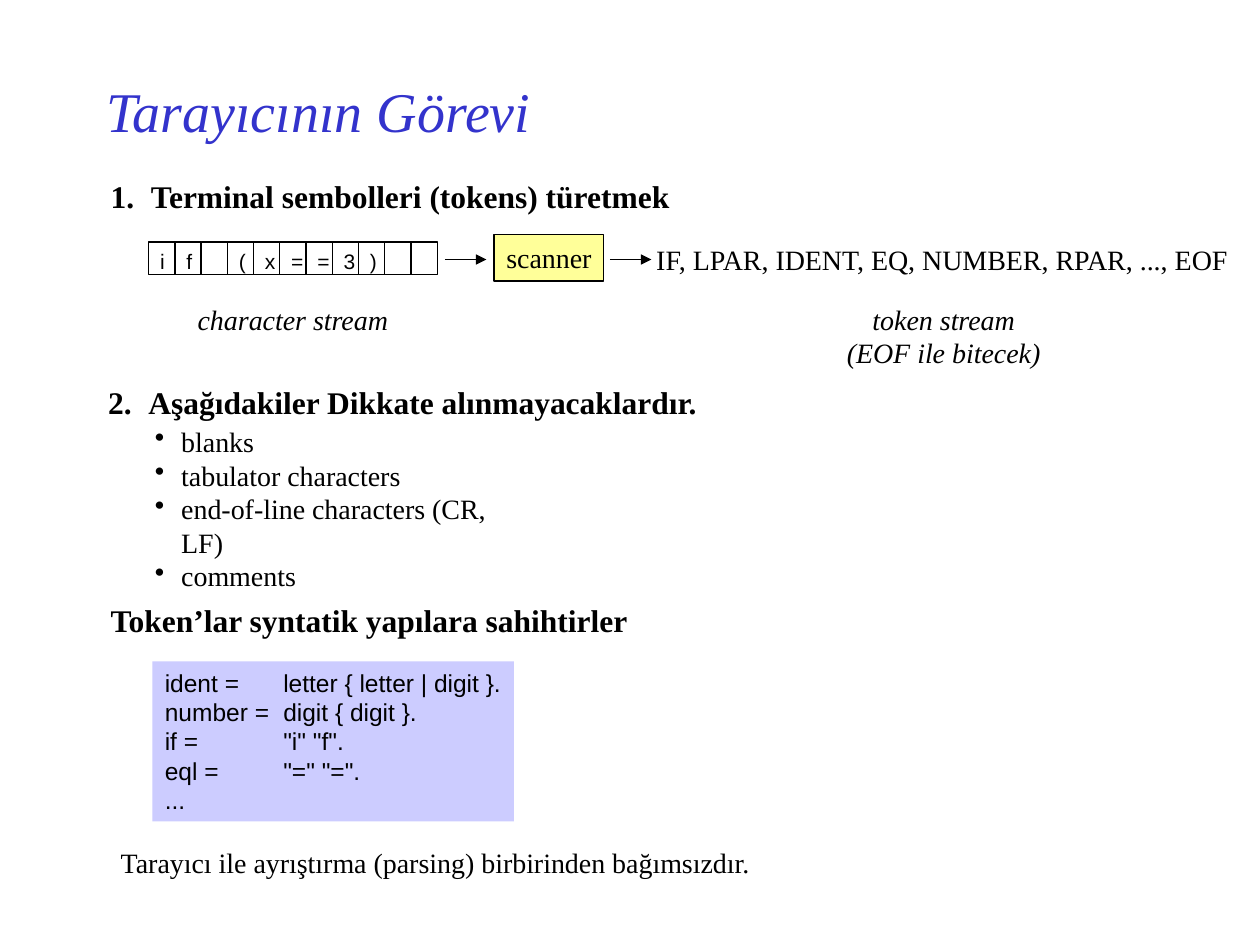
from dataclasses import dataclass

from lxml.etree import SubElement
from pptx import Presentation
from pptx.dml.color import RGBColor
from pptx.enum.shapes import MSO_CONNECTOR as Connector, MSO_SHAPE as Shape
from pptx.enum.text import MSO_ANCHOR as Anchor, PP_ALIGN as Align
from pptx.oxml.ns import qn
from pptx.util import Inches, Pt

SLIDE_WIDTH, SLIDE_HEIGHT = Inches(10), Inches(7.5)
COLUMNS, ROWS = 100, 75
SERIF, SANS = "Times New Roman", "Arial"
COLORS = {"title": "3333CC", "ink": "000000", "scanner": "FFFF99", "grammar": "CCCCFF"}


@dataclass
class Box:
    """A region measured in columns and rows of the slide grid."""
    col: float
    row: float
    cols: float
    rows: float

    def within(self, col, row, cols, rows):
        """Return a box offset from this one's top left corner."""
        return Box(self.col + col, self.row + row, cols, rows)

    def frame(self):
        """Return left, top, width and height as slide lengths."""
        across, down = SLIDE_WIDTH / COLUMNS, SLIDE_HEIGHT / ROWS
        return (int(self.col * across), int(self.row * down),
                int(self.cols * across), int(self.rows * down))


def color(name):
    """Look up a named colour."""
    return RGBColor.from_string(COLORS[name])


def write(shape, text, size=16, font=SERIF, ink="ink", bold=False, italic=False,
          align=Align.LEFT, anchor=Anchor.TOP, wrap=False, insets=(0.1, 0.05, 0.1, 0.05),
          tab=None, bullet=None, indent=0.21):
    """Fill a shape with one paragraph per line of text."""
    frame = shape.text_frame
    frame.word_wrap, frame.vertical_anchor = wrap, anchor
    (frame.margin_left, frame.margin_top,
     frame.margin_right, frame.margin_bottom) = map(Inches, insets)
    for index, line in enumerate(text.split("\n")):
        paragraph = frame.add_paragraph() if index else frame.paragraphs[0]
        paragraph.alignment = align
        props = paragraph._p.get_or_add_pPr()
        if bullet:
            props.set("marL", str(Inches(indent)))
            props.set("indent", str(-Inches(indent)))
            tint = SubElement(props, qn("a:buClr"))
            SubElement(tint, qn("a:srgbClr"), val=COLORS[ink])
            SubElement(props, qn("a:buChar"), char=bullet)
        if tab:
            stops = SubElement(props, qn("a:tabLst"))
            SubElement(stops, qn("a:tab"), pos=str(Inches(tab)), algn="l")
        run = paragraph.add_run()
        run.text = line
        run.font.name, run.font.size = font, Pt(size)
        run.font.bold, run.font.italic = bold, italic
        run.font.color.rgb = color(ink)


def label(slide, box, text, **style):
    """Add a text box."""
    write(slide.shapes.add_textbox(*box.frame()), text, **style)


def panel(slide, box, text="", fill=None, outline=True, **style):
    """Add a rectangle with optional fill, outline and text."""
    rect = slide.shapes.add_shape(Shape.RECTANGLE, *box.frame())
    rect.shadow.inherit = False
    if fill:
        rect.fill.solid()
        rect.fill.fore_color.rgb = color(fill)
    else:
        rect.fill.background()
    if outline:
        rect.line.color.rgb = color("ink")
        rect.line.width = Pt(0.75)
    else:
        rect.line.fill.background()
    if text.strip():
        write(rect, text, **style)


def arrow(slide, box):
    """Draw an arrow along the top edge of a box."""
    left, top, width, _ = box.frame()
    link = slide.shapes.add_connector(Connector.STRAIGHT, left, top, left + width, top)
    link.line.color.rgb = color("ink")
    link.line.width = Pt(0.75)
    SubElement(link.line._get_or_add_ln(), qn("a:tailEnd"), type="triangle")
    SubElement(link._element.spPr, qn("a:effectLst"))


def character_cells(slide, box, characters):
    """Divide a box into equal cells holding one character each."""
    pitch = box.cols / len(characters)
    for index, character in enumerate(characters):
        panel(slide, box.within(index * pitch, 0, pitch, box.rows), character,
              size=12, font=SANS, wrap=True, insets=(0.09, 0.05, 0, 0))


def scanner_section(slide, box):
    """Show characters passing through the scanner to become tokens."""
    label(slide, box.within(0, 0, 46.6, 4), "1.\tTerminal sembolleri (tokens) türetmek",
          size=18, bold=True, tab=0.32)
    character_cells(slide, box.within(4, 5.6, 22.9, 2.6), "if (x==3)  ")
    label(slide, box.within(6.9, 9.9, 17.2, 3.7), "character stream", italic=True)
    panel(slide, box.within(31.4, 5, 8.7, 3.7), "scanner", fill="scanner")
    label(slide, box.within(43.3, 5.2, 48.1, 3.7),
          "IF, LPAR, IDENT, EQ, NUMBER, RPAR, ..., EOF")
    label(slide, box.within(58.4, 9.9, 17.4, 6.4), "token stream\n(EOF ile bitecek)",
          italic=True, align=Align.CENTER)
    for start in (27.5, 40.6):
        arrow(slide, box.within(start, 7, 3.3, 0))


def ignored_section(slide, box):
    """List what the scanner skips."""
    label(slide, box.within(0, 0, 49, 4), "2.\tAşağıdakiler Dikkate alınmayacaklardır.",
          size=18, bold=True, tab=0.32)
    label(slide, box.within(3.7, 3.3, 32.1, 11.7),
          "blanks\ntabulator characters\nend-of-line characters (CR, LF)\ncomments",
          bullet="•")


def grammar_section(slide, box):
    """Show the token grammar and the closing remark."""
    label(slide, box.within(0, 0, 43.3, 4), "Token’lar syntatik yapılara sahihtirler",
          size=18, bold=True)
    rules = (("ident", "letter { letter | digit }."), ("number", "digit { digit }."),
             ("if", '"i" "f".'), ("eql", '"=" "=".'))
    lines = [f"{name} =\t{body}" for name, body in rules] + ["..."]
    panel(slide, box.within(4.3, 5.3, 28.7, 12.7), "\n".join(lines), fill="grammar",
          outline=False, size=14, font=SANS, tab=0.94)
    label(slide, box.within(0.8, 19.4, 52.2, 3.7),
          "Tarayıcı ile ayrıştırma (parsing) birbirinden bağımsızdır.")


def main():
    """Build and save the slide."""
    deck = Presentation()
    deck.slide_width, deck.slide_height = SLIDE_WIDTH, SLIDE_HEIGHT
    slide = deck.slides.add_slide(deck.slide_layouts[6])
    label(slide, Box(7.5, 5, 75, 7.5), "Tarayıcının Görevi", size=32, ink="title",
          italic=True, anchor=Anchor.MIDDLE, wrap=True)
    scanner_section(slide, Box(7.8, 13.6, 91.4, 16.3))
    ignored_section(slide, Box(7.6, 29.9, 49, 15))
    grammar_section(slide, Box(7.8, 47.2, 53, 23.1))
    deck.save("out.pptx")


if __name__ == "__main__":
    main()
